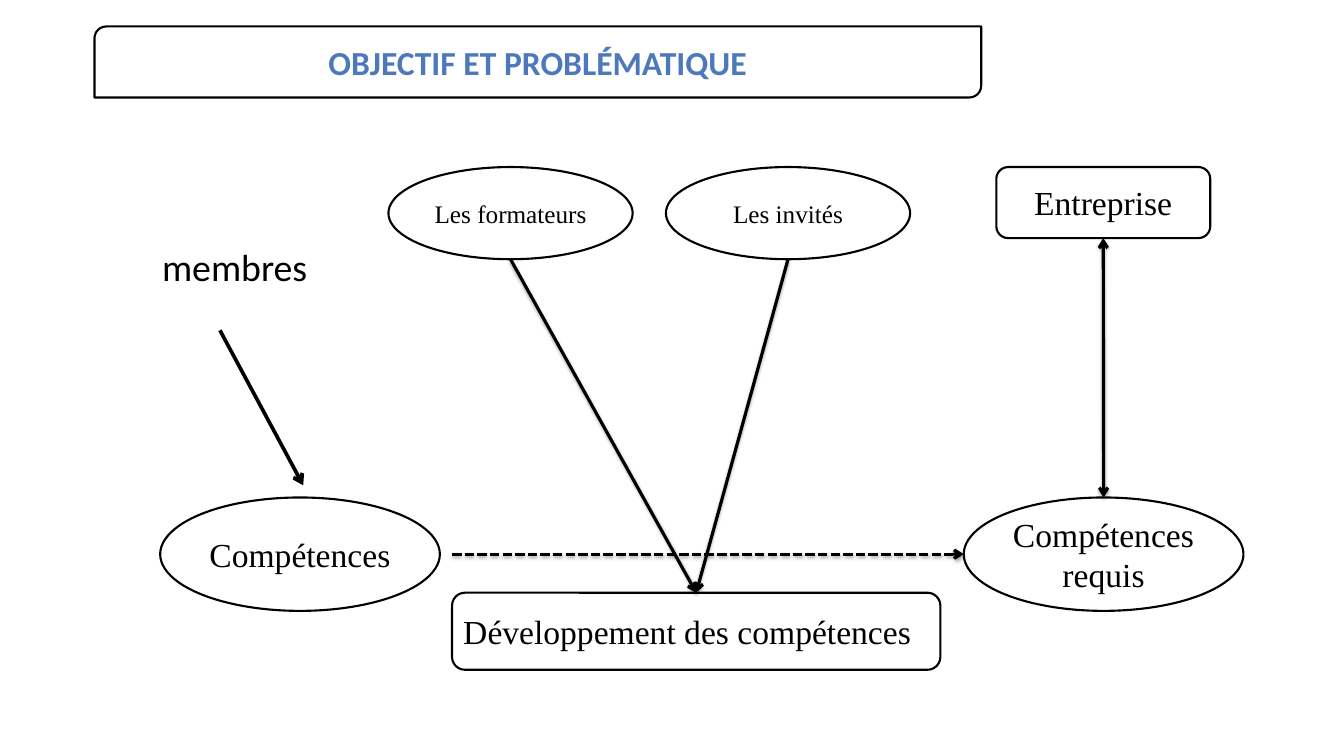
from collections import namedtuple
from dataclasses import dataclass

from lxml import etree
from pptx import Presentation
from pptx.dml.color import RGBColor
from pptx.enum.dml import MSO_LINE_DASH_STYLE as Dash
from pptx.enum.shapes import MSO_CONNECTOR as Connector, MSO_SHAPE as Shape
from pptx.enum.text import MSO_ANCHOR as Anchor, MSO_AUTO_SIZE as AutoSize, PP_ALIGN as Align
from pptx.oxml.ns import qn
from pptx.util import Pt


@dataclass(frozen=True)
class Theme:
    ink: RGBColor = RGBColor(0, 0, 0)
    paper: RGBColor = RGBColor(255, 255, 255)
    heading: RGBColor = RGBColor(0x4D, 0x79, 0xBC)
    sans: str = "Calibri"
    serif: str = "Times New Roman"
    label: int = 36
    body: int = 32
    small: int = 24
    outline: float = 2
    arrow: float = 3
    strong_arrow: float = 3.5


THEME = Theme()


class Box(namedtuple("Box", "left top width height")):
    @property
    def lengths(self):
        return [Pt(value) for value in self]

    @property
    def top_middle(self):
        return self.left + self.width / 2, self.top

    @property
    def bottom_middle(self):
        return self.left + self.width / 2, self.top + self.height

    @property
    def left_middle(self):
        return self.left, self.top + self.height / 2


def write(frame, text, size, font=THEME.serif, color=THEME.ink, align=Align.CENTER, bold=False):
    frame.word_wrap = True
    frame.vertical_anchor = Anchor.MIDDLE
    paragraph = frame.paragraphs[0]
    paragraph.alignment = align
    run = paragraph.add_run()
    run.text = text
    run.font.name, run.font.size, run.font.bold = font, Pt(size), bold
    run.font.color.rgb = color


def add_outline(slide, kind, box):
    shape = slide.shapes.add_shape(kind, *box.lengths)
    shape.shadow.inherit = False
    shape.fill.solid()
    shape.fill.fore_color.rgb = THEME.paper
    shape.line.color.rgb = THEME.ink
    shape.line.width = Pt(THEME.outline)
    return shape


def add_node(slide, kind, box, text, size=THEME.body, align=Align.CENTER):
    write(add_outline(slide, kind, box).text_frame, text, size, align=align)


def add_arrow(slide, start, end, width=THEME.arrow, both_ends=False, dashed=False, shadow=True):
    points = [Pt(value) for value in (*start, *end)]
    connector = slide.shapes.add_connector(Connector.STRAIGHT, *points)
    line = connector.line
    line.color.rgb = THEME.ink
    line.width = Pt(width)
    if dashed:
        line.dash_style = Dash.SQUARE_DOT
    properties = connector.element.spPr
    outline = properties.find(qn("a:ln"))
    for tag in ("a:headEnd", "a:tailEnd") if both_ends else ("a:tailEnd",):
        etree.SubElement(outline, qn(tag), type="arrow")
    effects = etree.SubElement(properties, qn("a:effectLst"))
    if shadow:
        outer = etree.SubElement(effects, qn("a:outerShdw"), blurRad=str(Pt(3.1)),
                                 dist=str(Pt(1.8)), dir="5400000", rotWithShape="0")
        color = etree.SubElement(outer, qn("a:srgbClr"), val=str(THEME.ink))
        etree.SubElement(color, qn("a:alpha"), val="35000")


def add_heading(slide, box):
    # Frame behind the title placeholder
    add_outline(slide, Shape.ROUND_2_DIAG_RECTANGLE, box)
    title = slide.shapes.title
    title.left, title.top, title.width, title.height = box.lengths
    title.text_frame.auto_size = AutoSize.NONE
    write(title.text_frame, "OBJECTIF ET PROBLÉMATIQUE", THEME.body, THEME.sans,
          THEME.heading, bold=True)
    slide.shapes._spTree.append(title.element)


def add_diagram(slide, area):
    def place(left, top, width, height):
        return Box(area.left + left, area.top + top, width, height)

    # Two rows of nodes; ellipses in a row share one size
    low_row = 314.7
    trainers = place(217.4, 0, 232.6, 87.8)
    guests = place(481.7, 0, 232.6, 87.8)
    company = place(796.4, 0, 203.8, 67.7)
    skills = place(0, low_row, 266.4, 108)
    required = place(765.4, low_row, 266.4, 108)
    development = place(278, 405.4, 465.1, 73.4)
    members = place(-9, 70, 160, 50)

    # Members, as a free label
    label = slide.shapes.add_textbox(*members.lengths)
    write(label.text_frame, "membres", THEME.label, THEME.sans)

    # Nodes
    add_node(slide, Shape.OVAL, skills, "Compétences")
    add_node(slide, Shape.ROUNDED_RECTANGLE, development,
             "Développement des compétences", align=Align.LEFT)
    add_node(slide, Shape.OVAL, required, "Compétences requis")
    add_node(slide, Shape.ROUNDED_RECTANGLE, company, "Entreprise")
    add_node(slide, Shape.OVAL, trainers, "Les formateurs", THEME.small)
    add_node(slide, Shape.OVAL, guests, "Les invités", THEME.small)

    # Arrows
    add_arrow(slide, (area.left + 56.9, area.top + 155.5),
              (skills.top_middle[0] + 3, skills.top - 11.6),
              width=THEME.strong_arrow, shadow=False)
    add_arrow(slide, (development.left, required.left_middle[1]),
              required.left_middle, dashed=True)
    add_arrow(slide, company.bottom_middle, required.top_middle, both_ends=True)
    for source in (trainers, guests):
        add_arrow(slide, source.bottom_middle, development.top_middle)


def main():
    presentation = Presentation()
    presentation.slide_width, presentation.slide_height = Pt(1280.16), Pt(720)
    slide = presentation.slides.add_slide(presentation.slide_layouts[5])
    add_diagram(slide, Box(152.6, 159.1, 1031.8, 478.8))
    add_heading(slide, Box(90, 25.2, 844.6, 67.7))
    presentation.save("out.pptx")


if __name__ == "__main__":
    main()
